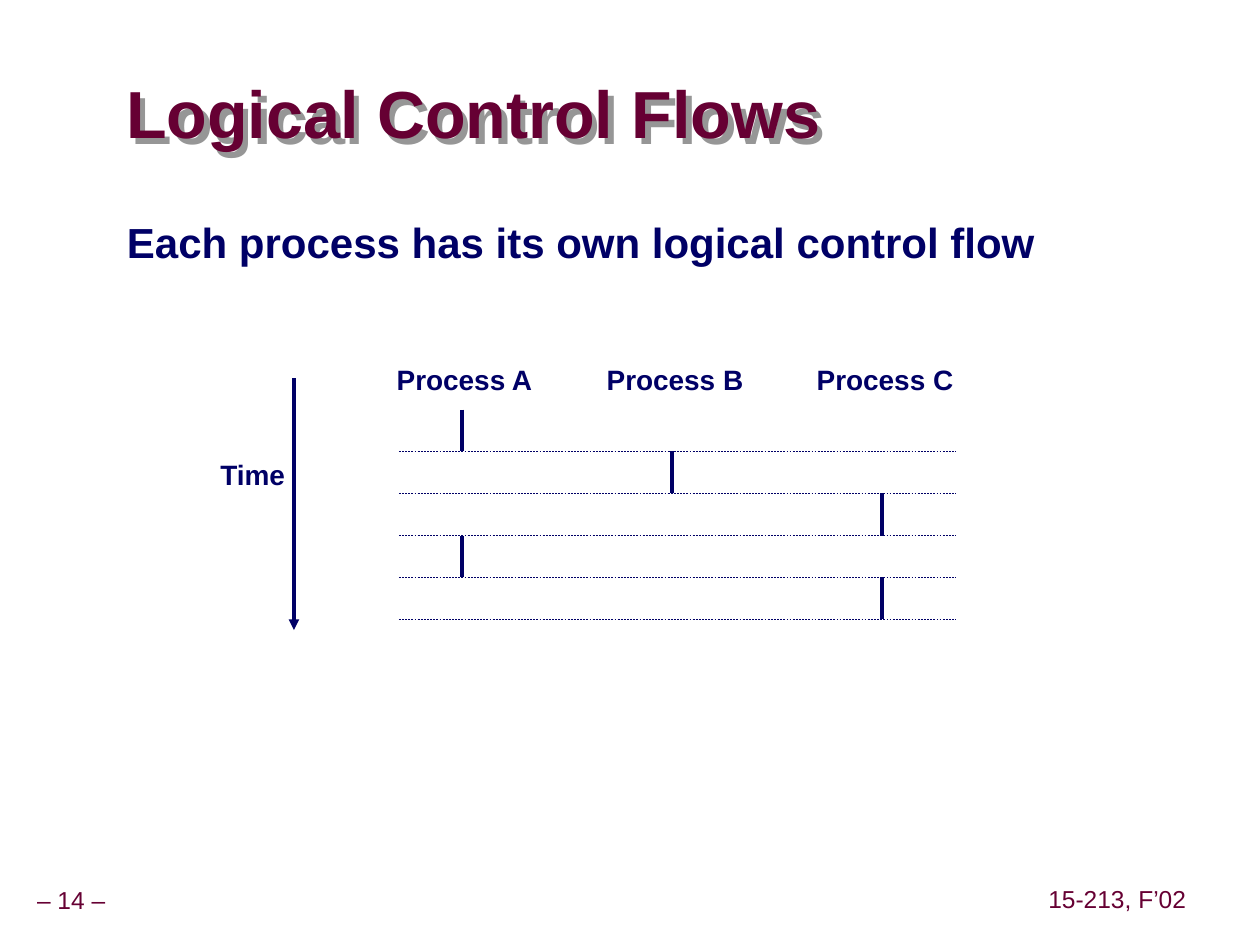
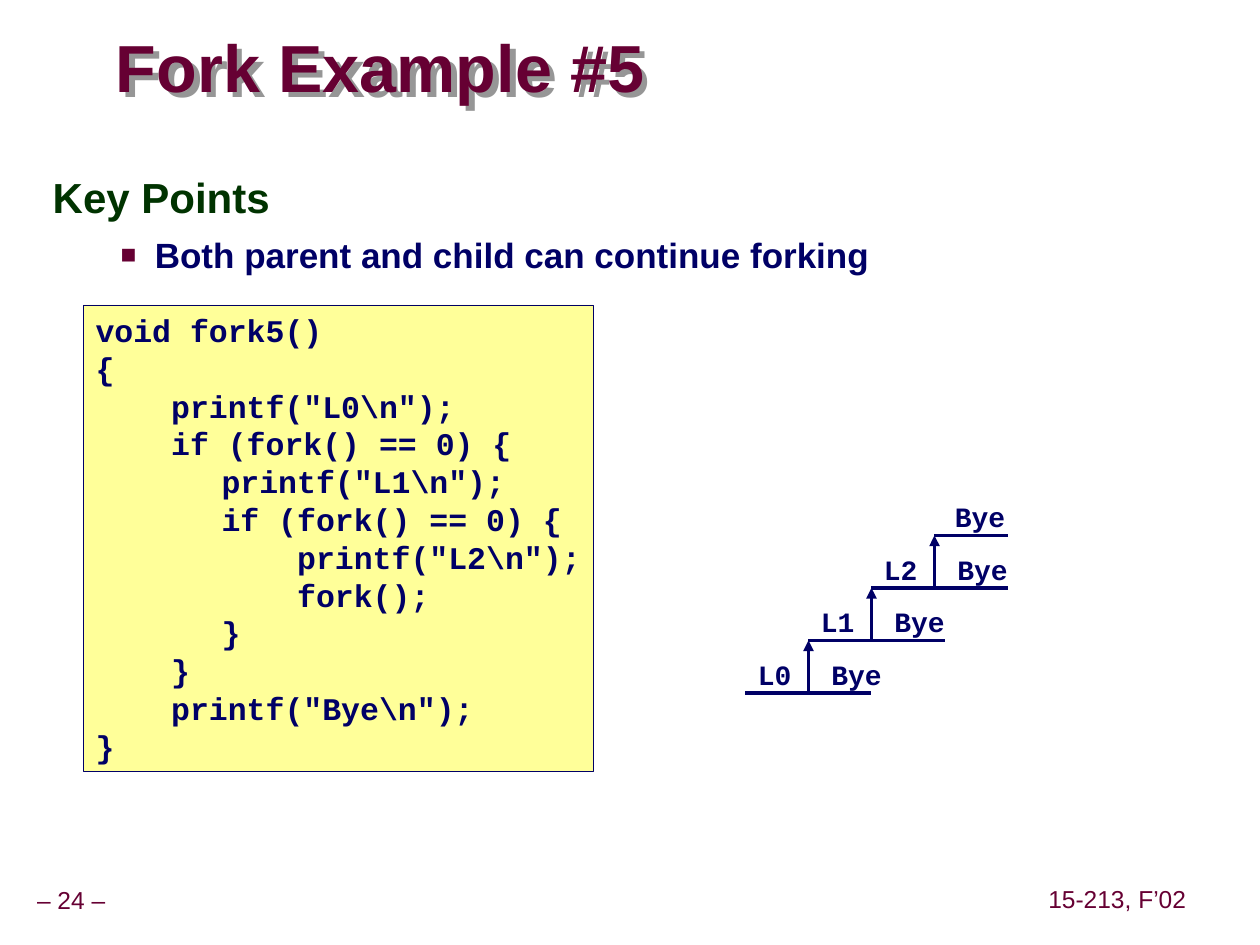
import pptx
import pptx.dml.color
import pptx.enum.dml
import pptx.enum.shapes
import pptx.enum.text
import pptx.oxml
import pptx.oxml.ns
import pptx.util

Pt = pptx.util.Pt
Color = pptx.dml.color.RGBColor.from_string
Align = pptx.enum.text.PP_ALIGN
Anchor = pptx.enum.text.MSO_ANCHOR
Fit = pptx.enum.text.MSO_AUTO_SIZE
NAMESPACE = pptx.oxml.ns.nsdecls("a")

MAROON, NAVY, GREEN, YELLOW, GRAY = map(
    Color, ("660033", "000066", "003300", "FFFF99", "969696"))
THEME = {
    "title": {"name": "Arial", "size": Pt(38), "bold": True, "color": MAROON},
    "footer": {"name": "Arial", "size": Pt(14), "bold": False, "color": MAROON},
    "statement": {"name": "Arial", "size": Pt(24), "bold": True, "color": NAVY},
    "heading": {"name": "Arial", "size": Pt(24), "bold": True, "color": GREEN},
    "bullet": {"name": "Arial", "size": Pt(20), "bold": True, "color": NAVY},
    "label": {"name": "Arial", "size": Pt(16), "bold": True, "color": NAVY},
    "output": {"name": "Courier New", "size": Pt(16), "bold": True, "color": NAVY},
    "code": {"name": "Courier New", "size": Pt(18), "bold": True, "color": NAVY},
}
LABEL_HEIGHT = 26.64


def write_text(box, lines, inset=(7.2, 3.6), para_format=None, **frame_format):
    """Fill a box with (text, style name) lines and return its paragraphs."""
    frame = box.text_frame
    frame_values = {
        "margin_left": Pt(inset[0]), "margin_right": Pt(inset[0]),
        "margin_top": Pt(inset[1]), "margin_bottom": Pt(inset[1]),
        "word_wrap": False, "auto_size": Fit.NONE,
        "vertical_anchor": Anchor.TOP,
    }
    for key, value in (frame_values | frame_format).items():
        setattr(frame, key, value)
    for index, (text, style) in enumerate(lines):
        para = frame.add_paragraph() if index else frame.paragraphs[0]
        for key, value in ({"alignment": Align.LEFT} | (para_format or {})).items():
            setattr(para, key, value)
        span = para.add_run()
        span.text = text
        for key, value in THEME[style].items():
            if key == "color":
                span.font.color.rgb = value
            else:
                setattr(span.font, key, value)
    return frame.paragraphs


def add_line(page, x1, y1, x2, y2, width=2, dashed=False, arrow=False):
    line = page.shapes.add_connector(
        pptx.enum.shapes.MSO_CONNECTOR.STRAIGHT, Pt(x1), Pt(y1), Pt(x2), Pt(y2))
    line.line.color.rgb = NAVY
    line.line.width = Pt(width)
    if dashed:
        line.line.dash_style = pptx.enum.dml.MSO_LINE.DASH
    properties = line._element.spPr
    if arrow:
        properties.find(pptx.oxml.ns.qn("a:ln")).append(
            pptx.oxml.parse_xml(f'<a:tailEnd {NAMESPACE} type="triangle"/>'))
    properties.append(pptx.oxml.parse_xml(f"<a:effectLst {NAMESPACE}/>"))


deck = pptx.Presentation()
deck.slide_width, deck.slide_height = Pt(720), Pt(540)

# Titles and footers
pages = []
for title_text, number, title_place in (
    ("Logical Control Flows", 14, (72, 44.64, 473.76, 45.36)),
    ("Fork Example #5", 24, (66.24, 18, 442.8, 45.36)),
):
    page = deck.slides.add_slide(deck.slide_layouts[5])
    pages.append(page)
    title = page.shapes.title
    title.left, title.top, title.width, title.height = map(Pt, title_place)
    write_text(title, [(title_text, "title")], (0, 0), {"line_spacing": 0.87},
               word_wrap=True, vertical_anchor=Anchor.MIDDLE)
    title.fill.background()
    title._element.spPr.append(pptx.oxml.parse_xml(
        f'<a:effectLst {NAMESPACE}><a:outerShdw dist="{Pt(4.5)}" dir="2700000" '
        f'algn="ctr" rotWithShape="0"><a:srgbClr val="{GRAY}"/></a:outerShdw></a:effectLst>'))
    for text, place in ((f"– {number} –", (-6.48, 504, 94.32, 22.32)),
                        ("15-213, F’02", (590.44, 503.28, 96, 22.32))):
        footer = page.shapes.add_textbox(*map(Pt, place))
        write_text(footer, [(text, "footer")], (3.6, 3.6),
                   {"alignment": Align.CENTER, "line_spacing": 0.9},
                   word_wrap=True, vertical_anchor=Anchor.MIDDLE)

flow_page, fork_page = pages

# Logical control flows: one lane per process, one row per time slice
add_line(flow_page, 168, 216, 168, 360, arrow=True)
first_lane, lane_gap = 264, 120
first_row, row_height = 234, 24
flow_labels = [("Time", "label", (118.8, 257.76, 60, LABEL_HEIGHT)),
               ("Each process has its own logical control flow", "statement",
                (65.52, 120.24, 560, 36))]
for lane, name in enumerate("ABC"):
    left = first_lane + lane * lane_gap - 44.4
    flow_labels.append((f"Process {name}", "label", (left, 203.76, 104, LABEL_HEIGHT)))
for text, style, place in flow_labels:
    write_text(flow_page.shapes.add_textbox(*map(Pt, place)), [(text, style)],
               word_wrap=True)
for row, lane in enumerate((0, 1, 2, 0, 2)):
    x = first_lane + lane * lane_gap
    top = first_row + row * row_height
    bottom = top + row_height
    add_line(flow_page, x, top, x, bottom)
    add_line(flow_page, 228, bottom, 546, bottom, width=0.25, dashed=True)

# Fork example: code
code_box = fork_page.shapes.add_shape(
    pptx.enum.shapes.MSO_SHAPE.RECTANGLE, Pt(47.52), Pt(174.24), Pt(291.6), Pt(266.4))
code_box.shadow.inherit = False
code_box.fill.solid()
code_box.fill.fore_color.rgb = YELLOW
code_box.line.color.rgb = NAVY
code_box.line.width = Pt(0.25)
code_lines = (
    'void fork5()',
    '{',
    '    printf("L0\\n");',
    '    if (fork() == 0) {',
    '\tprintf("L1\\n");',
    '\tif (fork() == 0) {',
    '\t    printf("L2\\n");',
    '\t    fork();',
    '\t}',
    '    }',
    '    printf("Bye\\n");',
    '}',
)
code_paras = write_text(code_box, [(line, "code") for line in code_lines],
                        auto_size=Fit.SHAPE_TO_FIT_TEXT)
for para in code_paras:
    para._p.get_or_add_pPr().append(pptx.oxml.parse_xml(
        f'<a:tabLst {NAMESPACE}><a:tab pos="{Pt(72)}" algn="l"/></a:tabLst>'))

# Fork example: key points
points_box = fork_page.shapes.add_textbox(Pt(23.04), Pt(96.48), Pt(654.48), Pt(411.12))
heading, point = write_text(
    points_box,
    [("Key Points", "heading"), ("Both parent and child can continue forking", "bullet")],
    word_wrap=True)
heading.line_spacing = 0.95
point.space_before = Pt(6.2)
point_properties = point._p.get_or_add_pPr()
point_properties.set("marL", str(Pt(58.32)))
point_properties.set("indent", str(Pt(-19.44)))
for bullet_xml in (f'<a:buClr {NAMESPACE}><a:srgbClr val="{MAROON}"/></a:buClr>',
                   f'<a:buSzPct {NAMESPACE} val="75000"/>',
                   f'<a:buFont {NAMESPACE} typeface="Arial"/>',
                   f'<a:buChar {NAMESPACE} char="■"/>'):
    point_properties.append(pptx.oxml.parse_xml(bullet_xml))

# Fork example: staircase of processes, each fork one step up
step_width, step_height = 36, 30
outputs = [("Bye", 538.56, 306)]
for step, parent_length in enumerate((36, 42, 42)):
    x = 426 + step * step_width
    y = 396 - step * step_height
    fork_x = x + step_width
    add_line(fork_page, x, y, fork_x, y)
    add_line(fork_page, fork_x, y, fork_x + parent_length, y)
    add_line(fork_page, fork_x, y, fork_x, y - step_height, arrow=True)
    outputs += [(f"L{step}", x, y), ("Bye", fork_x + 6, y)]
add_line(fork_page, 534, 306, 576, 306)
for text, x, y in outputs:
    width = 48 if text == "Bye" else 38
    output = fork_page.shapes.add_textbox(Pt(x), Pt(y - 24), Pt(width), Pt(LABEL_HEIGHT))
    write_text(output, [(text, "output")], word_wrap=True)

deck.save("out.pptx")
